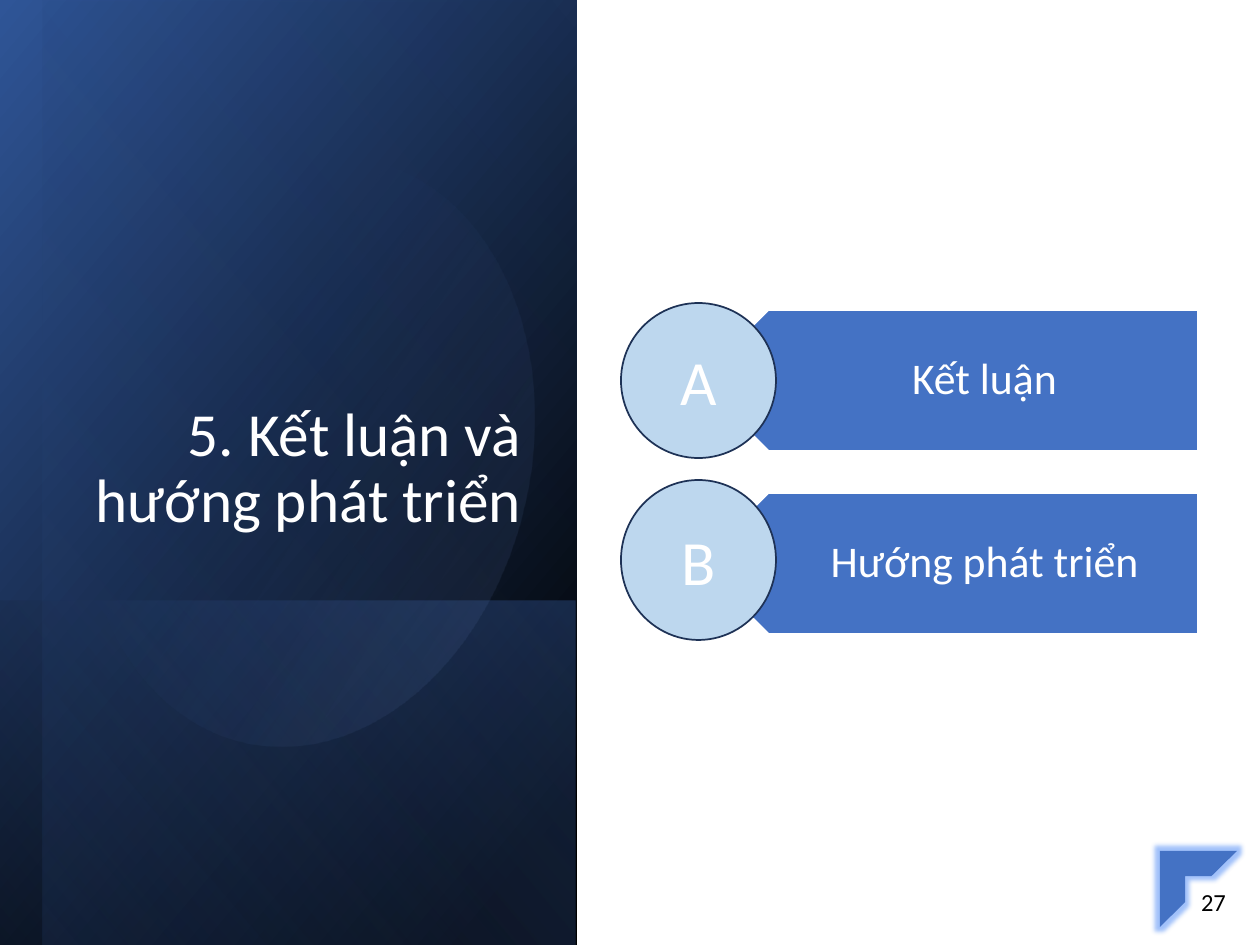
import pptx
import pptx.dml.color
import pptx.enum.shapes
import pptx.enum.text
import pptx.oxml.ns
import pptx.util
from lxml import etree

RGBColor = pptx.dml.color.RGBColor
SHAPE = pptx.enum.shapes.MSO_SHAPE
ALIGN = pptx.enum.text.PP_ALIGN
ANCHOR = pptx.enum.text.MSO_ANCHOR
qn = pptx.oxml.ns.qn

PX = 914400 // 126
FONT = "Calibri"
WHITE = RGBColor(0xFF, 0xFF, 0xFF)
BLACK = RGBColor(0, 0, 0)
BLUE = RGBColor(0x44, 0x72, 0xC4)
DEEP_BLUE = RGBColor(0x2F, 0x55, 0x97)
SOFT_BLUE = RGBColor(0x8F, 0xAA, 0xDC)
PALE_BLUE = RGBColor(0xBD, 0xD7, 0xEE)
NAVY = RGBColor(0x1E, 0x32, 0x56)


def lengths(values):
    return [value * PX for value in values]


def add_shape(page, kind, area, fill=None, line=None):
    shape = page.shapes.add_shape(kind, *lengths(area))
    shape.shadow.inherit = False
    if fill is not None:
        shape.fill.solid()
        shape.fill.fore_color.rgb = fill
    if line is None:
        shape.line.fill.background()
    else:
        shape.line.color.rgb = line
        shape.line.width = pptx.util.Pt(1)
    return shape


def add_gradient(page, kind, area, rotation, angle, stops, flipped=True):
    """Stops are (position, colour, opacity), both numbers in percent."""
    shape = add_shape(page, kind, area)
    shape.rotation = rotation
    properties = shape.element.spPr
    if flipped:
        properties.find(qn("a:xfrm")).set("flipH", "1")
    shape.fill.gradient()
    shape.fill.gradient_angle = 360 - angle
    stop_list = properties.find(qn("a:gradFill")).find(qn("a:gsLst"))
    for old_stop in list(stop_list):
        stop_list.remove(old_stop)
    for position, colour, opacity in stops:
        stop = etree.SubElement(stop_list, qn("a:gs"), pos=str(position * 1000))
        tint = etree.SubElement(stop, qn("a:srgbClr"), val=str(colour))
        if opacity < 100:
            etree.SubElement(tint, qn("a:alpha"), val=str(opacity * 1000))


def add_glow(shape, colour, radius):
    effects = shape.element.spPr.find(qn("a:effectLst"))
    glow = etree.SubElement(effects, qn("a:glow"), rad=str(radius * PX))
    tint = etree.SubElement(glow, qn("a:srgbClr"), val=str(colour))
    etree.SubElement(tint, qn("a:satMod"), val="175000")
    etree.SubElement(tint, qn("a:alpha"), val="40000")


def write(shape, text, size, colour=WHITE, align=ALIGN.CENTER,
          anchor=ANCHOR.MIDDLE, spacing=1.0):
    frame = shape.text_frame
    frame.word_wrap = True
    frame.vertical_anchor = anchor
    paragraph = frame.paragraphs[0]
    paragraph.text = text
    paragraph.alignment = align
    paragraph.line_spacing = spacing
    paragraph.font.name = FONT
    paragraph.font.size = pptx.util.Pt(size)
    paragraph.font.color.rgb = colour


def add_text(page, area, text, size, **style):
    box = page.shapes.add_textbox(*lengths(area))
    write(box, text, size, **style)
    return box


def add_panel(page):
    add_gradient(page, SHAPE.RECTANGLE, (-184, 184, 945, 577), 90, 50,
                 [(8, BLACK, 100), (100, DEEP_BLUE, 100)])
    add_gradient(page, SHAPE.RECTANGLE, (115, 485, 345, 576), 90, 130,
                 [(2, BLUE, 29), (100, BLACK, 30)])
    add_gradient(page, SHAPE.RECTANGLE, (-163, 207, 945, 533), 90, 130,
                 [(0, BLACK, 0), (99, BLUE, 11)])
    add_gradient(page, SHAPE.OVAL, (10, 229, 595, 446), 101.6, 290,
                 [(39, BLUE, 0), (100, SOFT_BLUE, 15)], flipped=False)
    add_text(page, (40, 382, 494, 160), "5. Kết luận và hướng phát triển", 35,
             align=ALIGN.RIGHT, anchor=ANCHOR.BOTTOM, spacing=0.9)


def add_topic(page, top, label):
    arrow = add_shape(page, SHAPE.PENTAGON, (698, top, 500, 141), BLUE, WHITE)
    arrow.rotation = 180
    box = add_text(page, (733, top, 465, 141), label, 25, spacing=0.9)
    frame = box.text_frame
    frame.margin_left, frame.margin_right = lengths((62, 24))
    frame.margin_top, frame.margin_bottom = lengths((13, 13))


def add_badge(page, top, height, letter):
    badge = add_shape(page, SHAPE.OVAL, (621, top, 155, height), PALE_BLUE, NAVY)
    write(badge, letter, 36)


def add_page_number(page, number):
    corner = add_shape(page, SHAPE.HALF_FRAME, (1160, 851, 77, 76), BLUE)
    add_glow(corner, BLUE, 9)
    add_text(page, (1167, 877, 93, 50), number, 14, colour=BLACK)


def main():
    deck = pptx.Presentation()
    deck.slide_width, deck.slide_height = lengths((1260, 945))
    page = deck.slides.add_slide(deck.slide_layouts[6])
    add_panel(page)
    add_page_number(page, "27")
    add_topic(page, 310, "Kết luận")
    add_topic(page, 493, "Hướng phát triển")
    add_badge(page, 303, 155, "A")
    add_badge(page, 480, 160, "B")
    deck.save("out.pptx")


if __name__ == "__main__":
    main()
